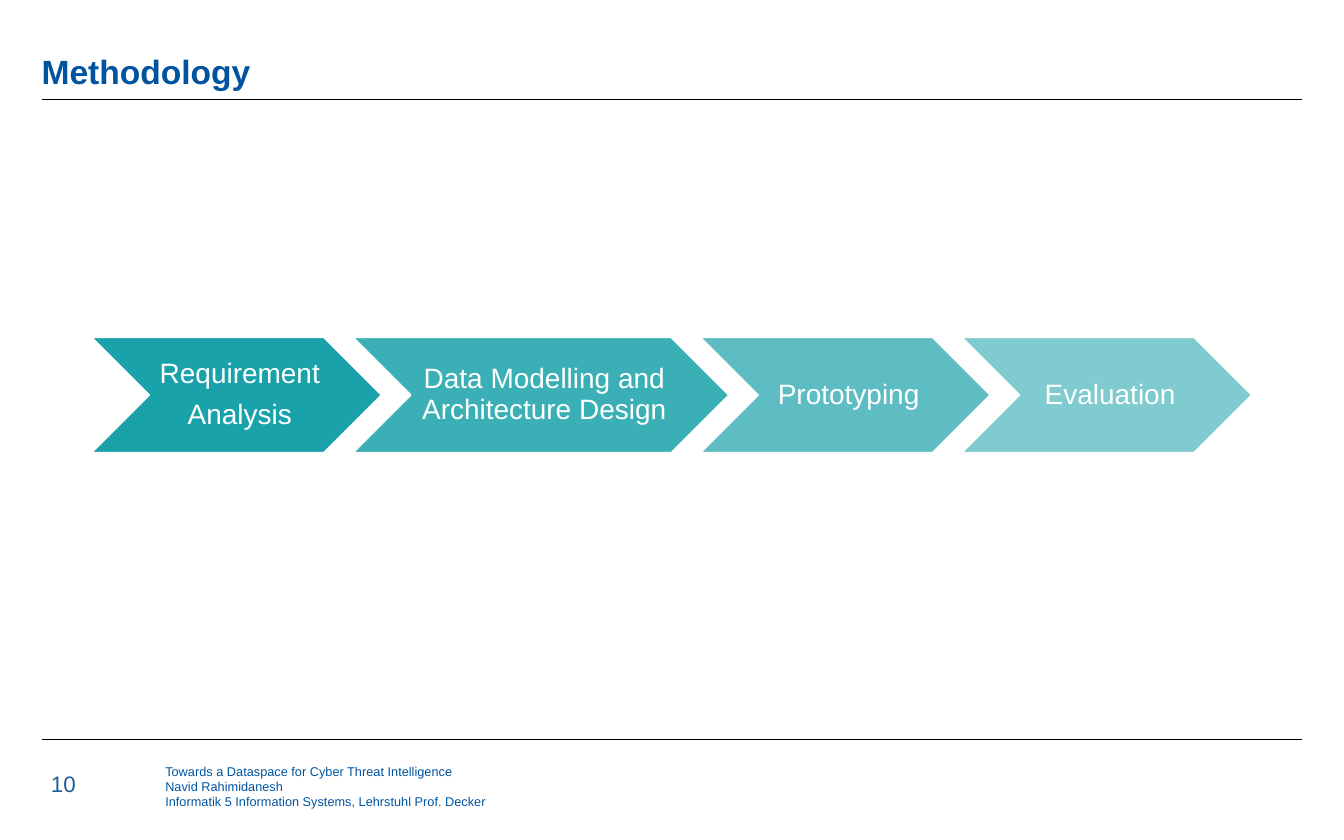
from pptx import Presentation
from pptx.dml.color import RGBColor
from pptx.enum.shapes import MSO_CONNECTOR, MSO_SHAPE
from pptx.enum.text import MSO_ANCHOR, PP_ALIGN
from pptx.oxml.ns import qn
from pptx.util import Emu, Pt
from lxml.etree import SubElement

EMU_PER_PX = 4572  # 200 px to the inch
BLUE = RGBColor(0x00, 0x54, 0x9F)
NUMBER_BLUE = RGBColor(0x23, 0x5D, 0x97)
TEAL = RGBColor(0x00, 0x98, 0xA1)
BLACK = RGBColor(0x00, 0x00, 0x00)
WHITE = RGBColor(0xFF, 0xFF, 0xFF)


def px(n):
    return Emu(n * EMU_PER_PX)


class SlideBuilder:
    font_name = "Arial"

    def __init__(self, slide):
        self.slide = slide

    def fill_text(self, sp, lines, size, color, insets=(0, 0, 0, 0), anchor=MSO_ANCHOR.TOP,
                  align=PP_ALIGN.LEFT, bold=False, spacing=1.0, after=0):
        tf = sp.text_frame
        tf.word_wrap = True
        tf.vertical_anchor = anchor
        tf.margin_left, tf.margin_top, tf.margin_right, tf.margin_bottom = map(px, insets)
        tf.text = "\n".join(lines)
        for p in tf.paragraphs:
            p.alignment = align
            p.line_spacing = spacing
            p.space_before, p.space_after = Pt(0), Pt(after)
            p.font.name, p.font.size, p.font.bold = self.font_name, Pt(size), bold
            p.font.color.rgb = color

    def title(self, text, x, y, w, h):
        sp = self.slide.shapes.title
        sp.left, sp.top, sp.width, sp.height = map(px, (x, y, w, h))
        self.fill_text(sp, [text], 18, BLUE, anchor=MSO_ANCHOR.BOTTOM, bold=True, spacing=0.9)

    def text(self, lines, x, y, w, h, size, color, **style):
        sp = self.slide.shapes.add_textbox(*map(px, (x, y, w, h)))
        self.fill_text(sp, lines, size, color, **style)

    def rule(self, x1, x2, y):
        line = self.slide.shapes.add_connector(MSO_CONNECTOR.STRAIGHT, *map(px, (x1, y, x2, y)))
        line.line.color.rgb = BLACK
        line.line.width = Pt(0.5)
        SubElement(line._element.spPr, qn("a:effectLst"))

    def chevron(self, lines, x, y, w, h, opacity):
        sp = self.slide.shapes.add_shape(MSO_SHAPE.CHEVRON, *map(px, (x, y, w, h)))
        sp.shadow.inherit = False
        sp.fill.solid()
        sp.fill.fore_color.rgb = TEAL
        color = sp._element.spPr.find(qn("a:solidFill"))[0]
        SubElement(color, qn("a:alpha")).set("val", str(opacity * 1000))
        sp.line.color.rgb = WHITE
        sp.line.width = Pt(1)
        # The label lies between the notch and the start of the tip
        self.text(lines, x + h // 2, y, w - h, h, 15, WHITE, insets=(14, 4, 4, 4),
                  anchor=MSO_ANCHOR.MIDDLE, align=PP_ALIGN.CENTER, spacing=0.9, after=6)


def main():
    prs = Presentation()
    prs.slide_width, prs.slide_height = px(2000), px(1250)
    s = SlideBuilder(prs.slides.add_slide(prs.slide_layouts[5]))

    # Title and rules
    s.title("Methodology", 62, 36, 1874, 100)
    for y in (148, 1100):
        s.rule(62, 1938, y)

    # Process steps, each overlapping the one before
    steps = [
        (["Requirement", "Analysis"], 432, 90),
        (["Data Modelling and Architecture Design"], 560, 77),
        (["Prototyping"], 432, 63),
        (["Evaluation"], 432, 50),
    ]
    x, overlap = 136, 43
    for lines, width, opacity in steps:
        s.chevron(lines, x, 502, width, 172, opacity)
        x += width - overlap

    # Footer
    s.text(["Towards a Dataspace for Cyber Threat Intelligence",
            "Navid Rahimidanesh",
            "Informatik 5 Information Systems, Lehrstuhl Prof. Decker"],
           246, 1136, 930, 114, 6.8, BLUE)
    s.text(["10"], 56, 1136, 84, 60, 12, NUMBER_BLUE, insets=(20, 10, 20, 10))

    prs.save("out.pptx")


if __name__ == "__main__":
    main()
